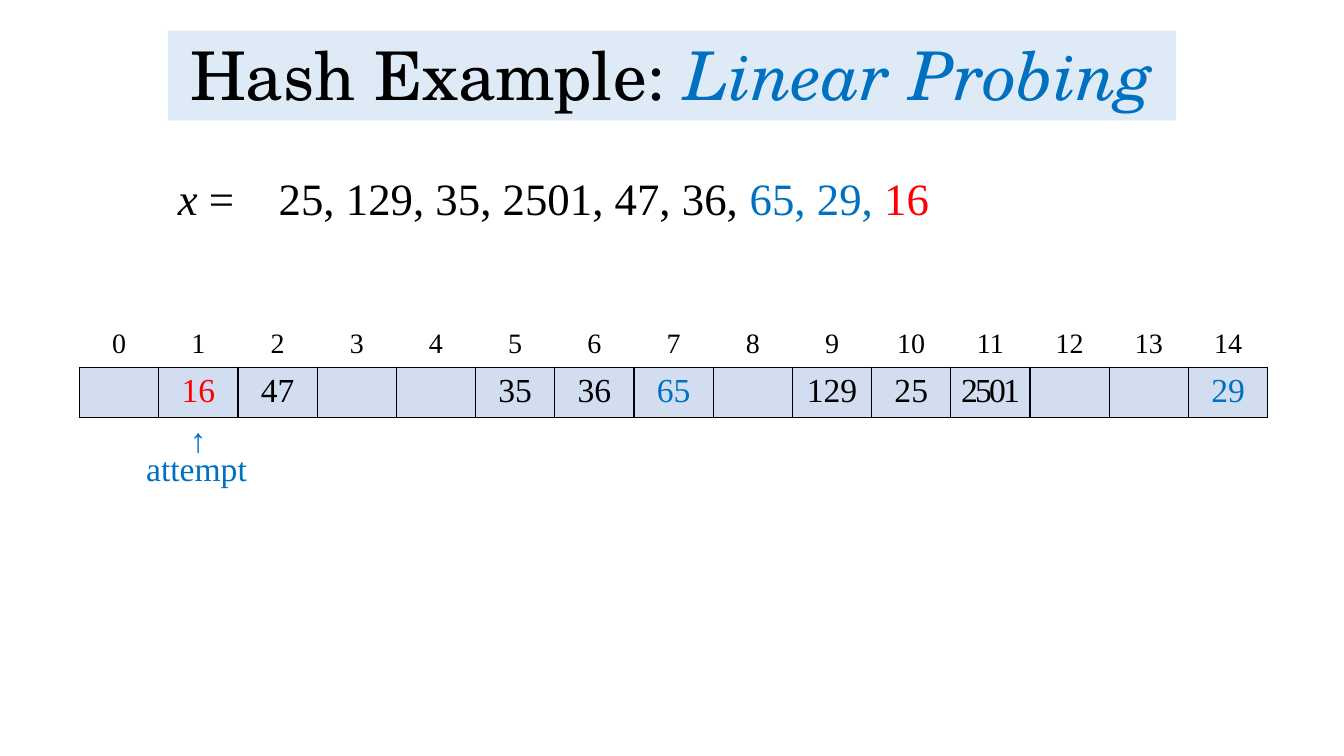
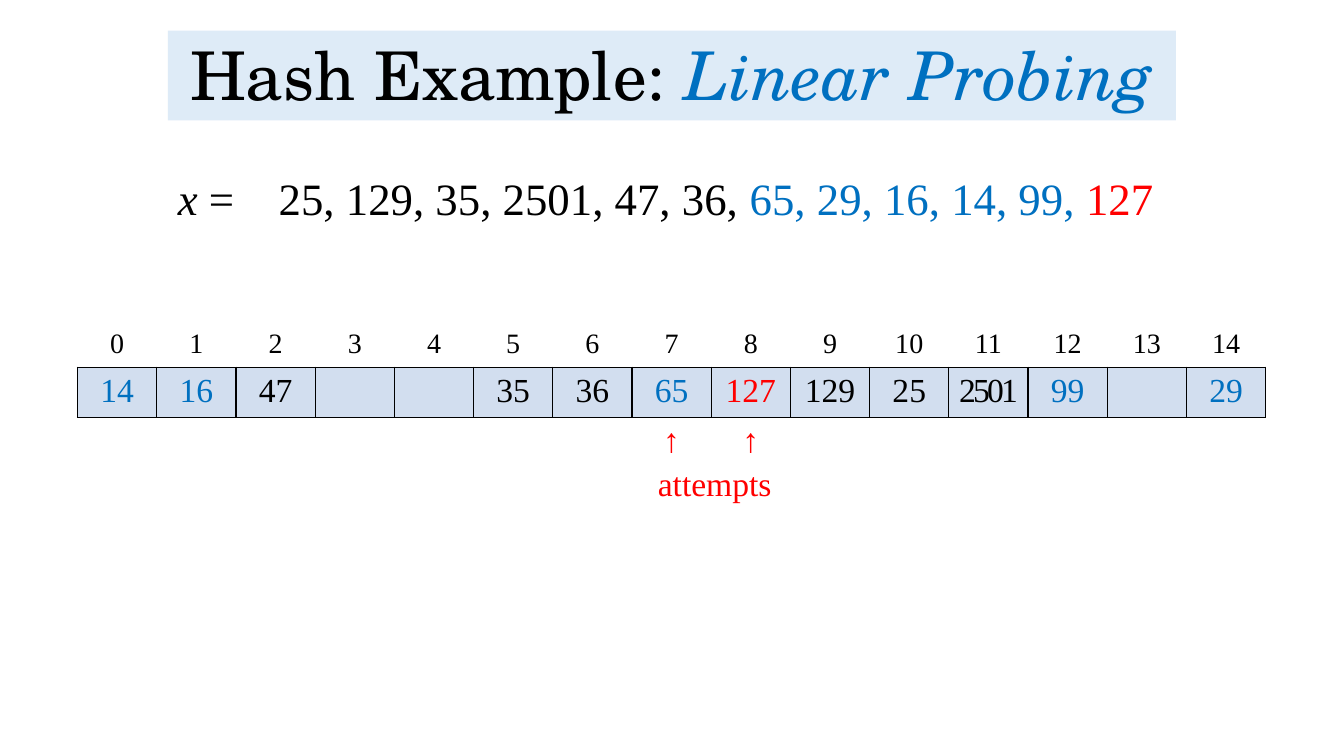
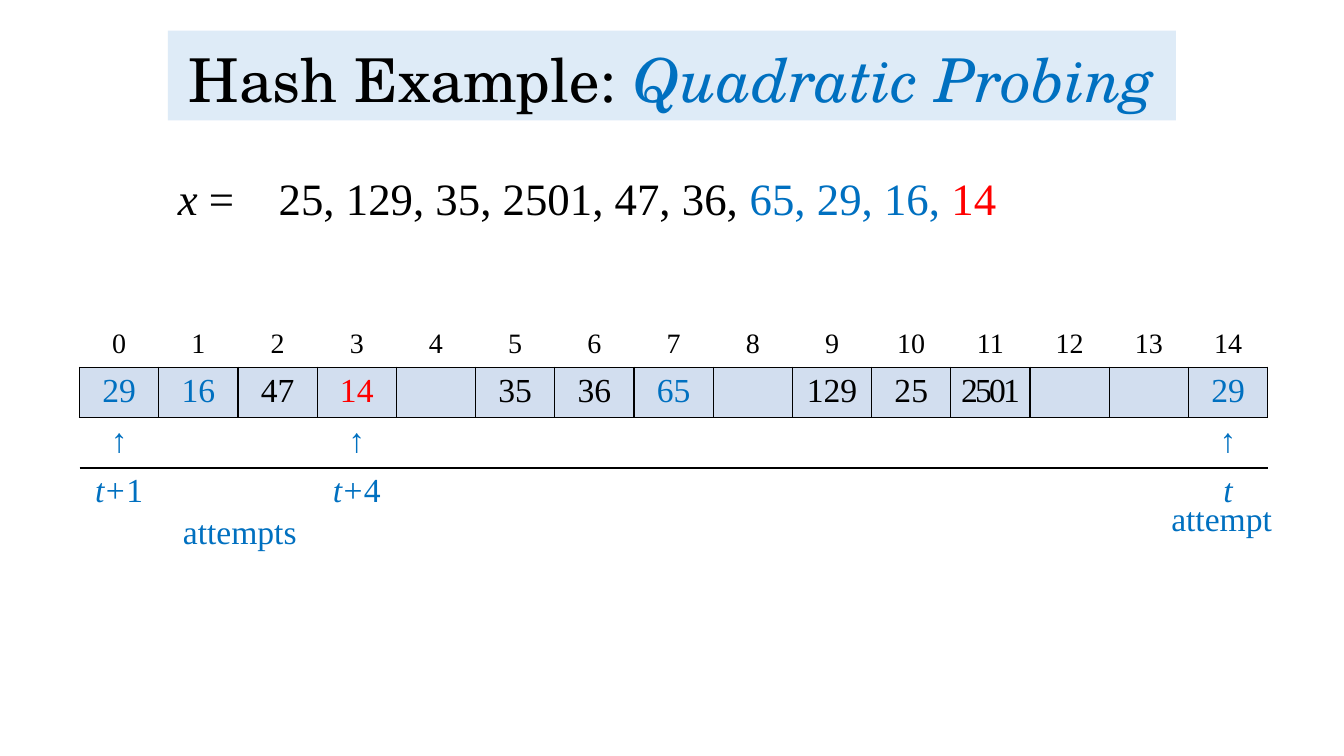
import lxml.etree
import pptx
import pptx.dml.color
import pptx.enum.shapes
import pptx.enum.text
import pptx.oxml.ns
import pptx.util
from dataclasses import dataclass

Pt = pptx.util.Pt
qn = pptx.oxml.ns.qn
CENTER = pptx.enum.text.PP_ALIGN.CENTER


@dataclass(frozen=True)
class Theme:
    black: str = "000000"
    blue: str = "0070C0"
    red: str = "FF0000"
    band: str = "DEEBF7"
    slot: str = "D2DEEF"
    title_font: str = "TeX Gyre Schola"
    body_font: str = "Times New Roman"
    keys_size: float = 32
    slot_size: float = 24
    index_size: float = 20


theme = Theme()
rgb = pptx.dml.color.RGBColor.from_string

SLOTS = 15
COLUMN_WIDTH = 56.6
ROW_HEIGHT = 29.2
NO_STYLE_NO_GRID = "{2D5ABB26-0587-4C30-8999-92F81FD0307C}"
BORDERS = {0: "B", 1: "LRTB", 2: "T"}  # bordered cell sides by table row

# Keys placed without a collision, shared by every slide
first_keys = [25, 129, 35, 2501, 47, 36]
first_slots = {2: 47, 5: 35, 6: 36, 7: 65, 9: 129, 10: 25, 11: 2501, 14: 29}

# labels: slot -> offset from t; notes: text, left, top
slides = [
    dict(method="Linear Probing", title_size=48, probed=[65, 29], newest=16,
         slots={1: 16}, table_left=56.8, arrows=[1], labels={},
         accent=theme.blue, notes=[("attempt", 74.9, 316.1)]),
    dict(method="Linear Probing", title_size=48, probed=[65, 29, 16, 14, 99], newest=127,
         slots={0: 14, 1: 16, 8: 127, 12: 99}, table_left=55.4, arrows=[7, 8], labels={},
         accent=theme.red, notes=[("attempts", 445, 326.9)]),
    dict(method="Quadratic Probing", title_size=43.2, probed=[65, 29, 16], newest=14,
         slots={0: 29, 1: 16, 3: 14}, table_left=56.8, arrows=[0, 3, 14],
         labels={0: "1", 3: "4", 14: ""}, accent=theme.blue,
         notes=[("attempts", 105.8, 361.4), ("attempt", 807.1, 352.1)]),
]


def write(para, spans, size, font=theme.body_font, align=CENTER):
    """Fill a paragraph from (text, colour, italic, letter spacing) spans."""
    para.alignment = align
    para.font.size = Pt(size)
    para.font.name = font
    for text, colour, italic, spacing in spans:
        span = para.add_run()
        span.text = text
        span.font.color.rgb = rgb(colour)
        if italic:
            span.font.italic = True
        if spacing:
            span._r.get_or_add_rPr().set("spc", str(spacing * 100))


def draw_border(cell, side):
    line = lxml.etree.SubElement(cell._tc.get_or_add_tcPr(), qn("a:ln" + side), w=str(Pt(1)))
    fill = lxml.etree.SubElement(line, qn("a:solidFill"))
    lxml.etree.SubElement(fill, qn("a:srgbClr"), val=theme.black)


deck = pptx.Presentation()
deck.slide_width, deck.slide_height = Pt(960), Pt(540)

for content in slides:
    page = deck.slides.add_slide(deck.slide_layouts[6])
    accent = content["accent"]

    # Title band
    band = page.shapes.add_shape(pptx.enum.shapes.MSO_SHAPE.RECTANGLE,
                                 Pt(120), Pt(21.8), Pt(720), Pt(64.2))
    band.shadow.inherit = False
    band.fill.solid()
    band.fill.fore_color.rgb = rgb(theme.band)
    band.line.fill.background()
    band.text_frame.word_wrap = True
    band.text_frame.vertical_anchor = pptx.enum.text.MSO_ANCHOR.BOTTOM
    para = band.text_frame.paragraphs[0]
    para.line_spacing = 0.9
    write(para, [("Hash Example: ", theme.black, False, 0),
                 (content["method"], theme.blue, True, 0)],
          content["title_size"], theme.title_font)

    # Keys in order of insertion
    box = page.shapes.add_textbox(Pt(120), Pt(115.2), Pt(720), Pt(347))
    box.text_frame.word_wrap = True
    box.text_frame.margin_top = Pt(7)
    para = box.text_frame.paragraphs[0]
    tabs = lxml.etree.SubElement(para._p.get_or_add_pPr(), qn("a:tabLst"))
    lxml.etree.SubElement(tabs, qn("a:tab"), pos=str(Pt(72)), algn="l")
    placed, probed = ("".join(f"{key}, " for key in keys)
                      for keys in (first_keys, content["probed"]))
    write(para, [("x", theme.black, True, 0),
                 (" =\t" + placed, theme.black, False, 0),
                 (probed, theme.blue, False, 0),
                 (str(content["newest"]), theme.red, False, 0)],
          theme.keys_size, align=pptx.enum.text.PP_ALIGN.LEFT)

    # Hash table: indices, slots, arrows and, if any, probe labels
    rows = 4 if content["labels"] else 3
    frame = page.shapes.add_table(rows, SLOTS, Pt(content["table_left"]), Pt(231),
                                  Pt(SLOTS * COLUMN_WIDTH), Pt(rows * ROW_HEIGHT))
    table = frame.table
    table.first_row = table.horz_banding = False
    table._tbl.tblPr.find(qn("a:tableStyleId")).text = NO_STYLE_NO_GRID
    for column in table.columns:
        column.width = Pt(COLUMN_WIDTH)
    for number, row in enumerate(table.rows):
        row.height = Pt(ROW_HEIGHT)
        for cell in row.cells:
            for side in BORDERS.get(number, ""):
                draw_border(cell, side)
            if number == 1:
                cell.fill.solid()
                cell.fill.fore_color.rgb = rgb(theme.slot)
            else:
                cell.fill.background()

    for index in range(SLOTS):
        write(table.cell(0, index).text_frame.paragraphs[0],
              [(str(index), theme.black, False, 0)], theme.index_size)
    for index, key in (first_slots | content["slots"]).items():
        if key == content["newest"]:
            colour = theme.red
        else:
            colour = theme.black if key in first_keys else theme.blue
        spacing = -2 if key > 999 else 0
        write(table.cell(1, index).text_frame.paragraphs[0],
              [(str(key), colour, False, spacing)], theme.slot_size)
    for index in content["arrows"]:
        write(table.cell(2, index).text_frame.paragraphs[0],
              [("↑", accent, False, 0)], theme.slot_size)
    for index, offset in content["labels"].items():
        spans = [("t", accent, True, 1 if offset else 0)]
        if offset:
            spans += [("+", accent, False, 1), (offset, accent, False, 0)]
        write(table.cell(3, index).text_frame.paragraphs[0], spans, theme.slot_size)

    # Notes under the arrows
    for text, left, top in content["notes"]:
        box = page.shapes.add_textbox(Pt(left), Pt(top), Pt(131), Pt(36.3))
        box.text_frame.word_wrap = True
        write(box.text_frame.paragraphs[0], [(text, accent, False, 0)], theme.slot_size)

deck.save("out.pptx")
